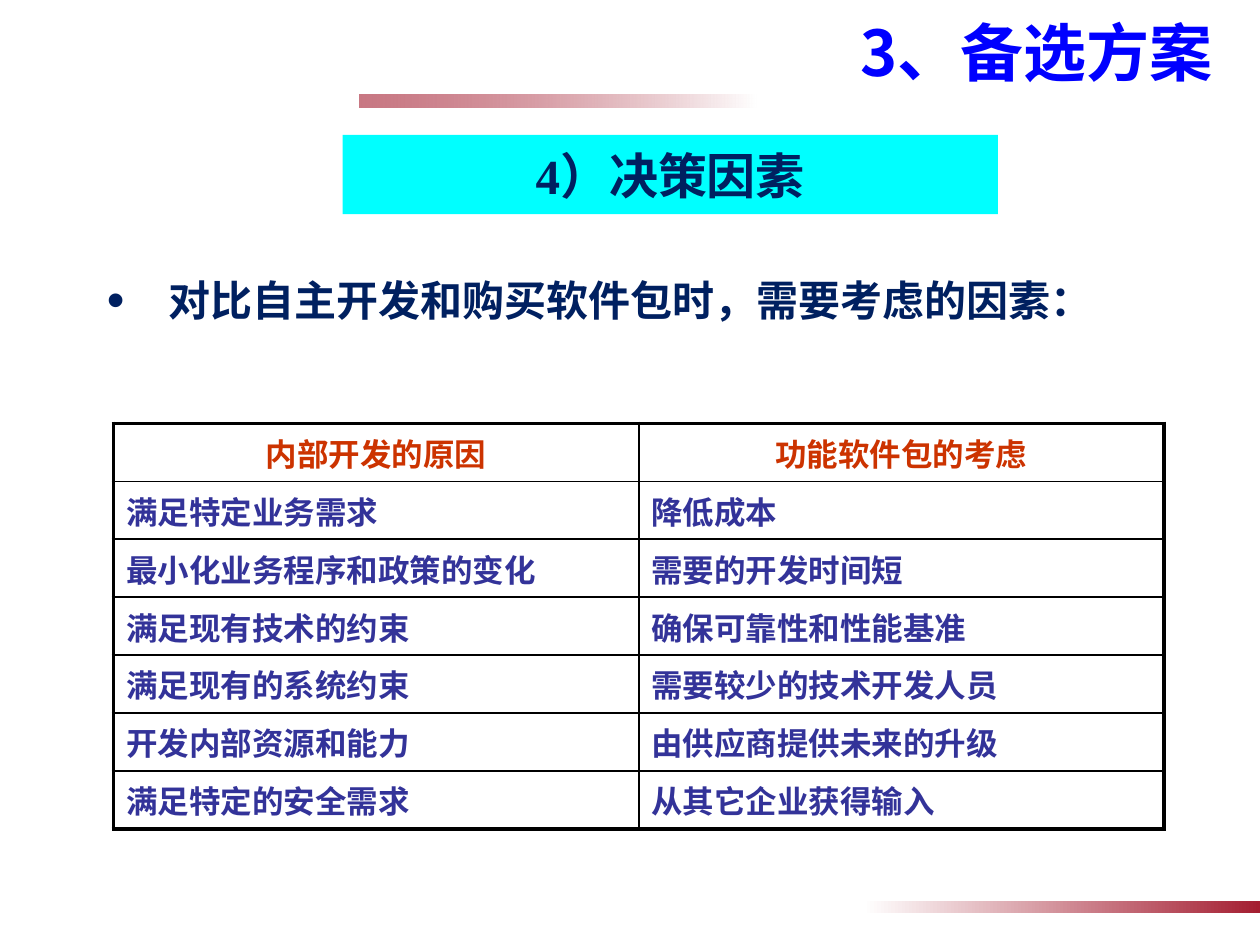
from lxml.etree import SubElement
from pptx import Presentation
from pptx.dml.color import RGBColor
from pptx.enum.shapes import MSO_SHAPE
from pptx.enum.text import MSO_ANCHOR, PP_ALIGN
from pptx.oxml.ns import qn
from pptx.util import Inches, Pt

WHITE = RGBColor(0xFF, 0xFF, 0xFF)
CRIMSON = RGBColor(0xA4, 0x1E, 0x31)
CYAN = RGBColor(0x00, 0xFF, 0xFF)
BLUE = RGBColor(0x00, 0x00, 0xFF)
NAVY = RGBColor(0x00, 0x20, 0x60)
RUST = RGBColor(0xCC, 0x33, 0x00)
INDIGO = RGBColor(0x33, 0x33, 0x99)
CJK_FONT = "Noto Sans CJK SC"
THIN, THICK = 1, 2.25


def write_text(frame, text, *, size, color, font=CJK_FONT, align=PP_ALIGN.LEFT,
               anchor=MSO_ANCHOR.TOP):
    """Fill the frame with one bold paragraph and return that paragraph."""
    frame.word_wrap = True
    frame.vertical_anchor = anchor
    paragraph = frame.paragraphs[0]
    paragraph.alignment = align
    run = paragraph.add_run()
    run.text = text
    run.font.size = Pt(size)
    run.font.bold = True
    run.font.color.rgb = color
    run.font.name = font
    SubElement(run.font._element, qn("a:ea"), typeface=CJK_FONT)
    return paragraph


def set_borders(cell, **widths):
    """Draw black cell borders; the keywords are lnL, lnR, lnT and lnB in points."""
    properties = cell._tc.get_or_add_tcPr()
    for position, (side, width) in enumerate(widths.items()):
        line = SubElement(properties, qn(f"a:{side}"), w=str(Pt(width)))
        fill = SubElement(line, qn("a:solidFill"))
        SubElement(fill, qn("a:srgbClr"), val="000000")
        properties.insert(position, line)


presentation = Presentation()
presentation.slide_width = Inches(10)
presentation.slide_height = Inches(7.5)
slide = presentation.slides.add_slide(presentation.slide_layouts[6])
shapes = slide.shapes

# Fading bars
for left, top, rotation, opacity in [(2.85, 0.75, 180, 60), (6.85, 7.15, 0, 100)]:
    bar = shapes.add_shape(MSO_SHAPE.RECTANGLE, Inches(left), Inches(top),
                           Inches(3.15), Inches(0.1))
    bar.shadow.inherit = False
    bar.rotation = rotation
    bar.line.fill.background()
    bar.fill.gradient()
    bar.fill.gradient_angle = 0
    start, end = bar.fill.gradient_stops
    start.color.rgb = WHITE
    end.color.rgb = CRIMSON
    end_color = bar._element.spPr.findall(".//" + qn("a:srgbClr"))[-1]
    SubElement(end_color, qn("a:alpha"), val=str(opacity * 1000))

# Bulleted statement
body = shapes.add_textbox(Inches(0.75), Inches(2.05), Inches(8.42), Inches(0.91))
paragraph = write_text(body.text_frame, "对比自主开发和购买软件包时，需要考虑的因素：",
                       size=24, color=NAVY, align=PP_ALIGN.JUSTIFY)
paragraph.line_spacing = 1.2
properties = paragraph._p.get_or_add_pPr()
properties.set("marL", str(Inches(0.49)))
properties.set("indent", str(Inches(-0.49)))
SubElement(properties, qn("a:buSzPct"), val="120000")
SubElement(properties, qn("a:buFont"), typeface="Arial")
SubElement(properties, qn("a:buChar"), char="•")

# Comparison table
rows = [
    ("内部开发的原因", "功能软件包的考虑"),
    ("满足特定业务需求", "降低成本"),
    ("最小化业务程序和政策的变化", "需要的开发时间短"),
    ("满足现有技术的约束", "确保可靠性和性能基准"),
    ("满足现有的系统约束", "需要较少的技术开发人员"),
    ("开发内部资源和能力", "由供应商提供未来的升级"),
    ("满足特定的安全需求", "从其它企业获得输入"),
]
row_height = Inches(0.46)
table = shapes.add_table(len(rows), 2, Inches(0.9), Inches(3.36), Inches(8.34),
                         row_height * len(rows)).table
for row_index, row in enumerate(rows):
    is_header = row_index == 0
    is_last = row_index == len(rows) - 1
    table.rows[row_index].height = row_height
    for column_index, text in enumerate(row):
        cell = table.cell(row_index, column_index)
        cell.fill.background()
        write_text(cell.text_frame, text, size=18, font="Arial",
                   color=RUST if is_header else INDIGO,
                   align=PP_ALIGN.CENTER if is_header else PP_ALIGN.LEFT)
        set_borders(cell,
                    lnL=THICK if column_index == 0 else THIN,
                    lnR=THICK if column_index == 1 else THIN,
                    lnT=THICK if is_header else THIN,
                    lnB=THICK if is_last else THIN)

# Title and section heading
title = shapes.add_textbox(Inches(1.22), Inches(0.05), Inches(8.5), Inches(0.72))
write_text(title.text_frame, "3、备选方案", size=36, color=BLUE,
           align=PP_ALIGN.RIGHT, anchor=MSO_ANCHOR.MIDDLE)

heading = shapes.add_shape(MSO_SHAPE.RECTANGLE, Inches(2.72), Inches(1.07),
                           Inches(5.2), Inches(0.63))
heading.shadow.inherit = False
heading.fill.solid()
heading.fill.fore_color.rgb = CYAN
heading.line.fill.background()
write_text(heading.text_frame, "4）决策因素", size=28, color=NAVY,
           font="Times New Roman", align=PP_ALIGN.CENTER, anchor=MSO_ANCHOR.MIDDLE)

presentation.save("out.pptx")
